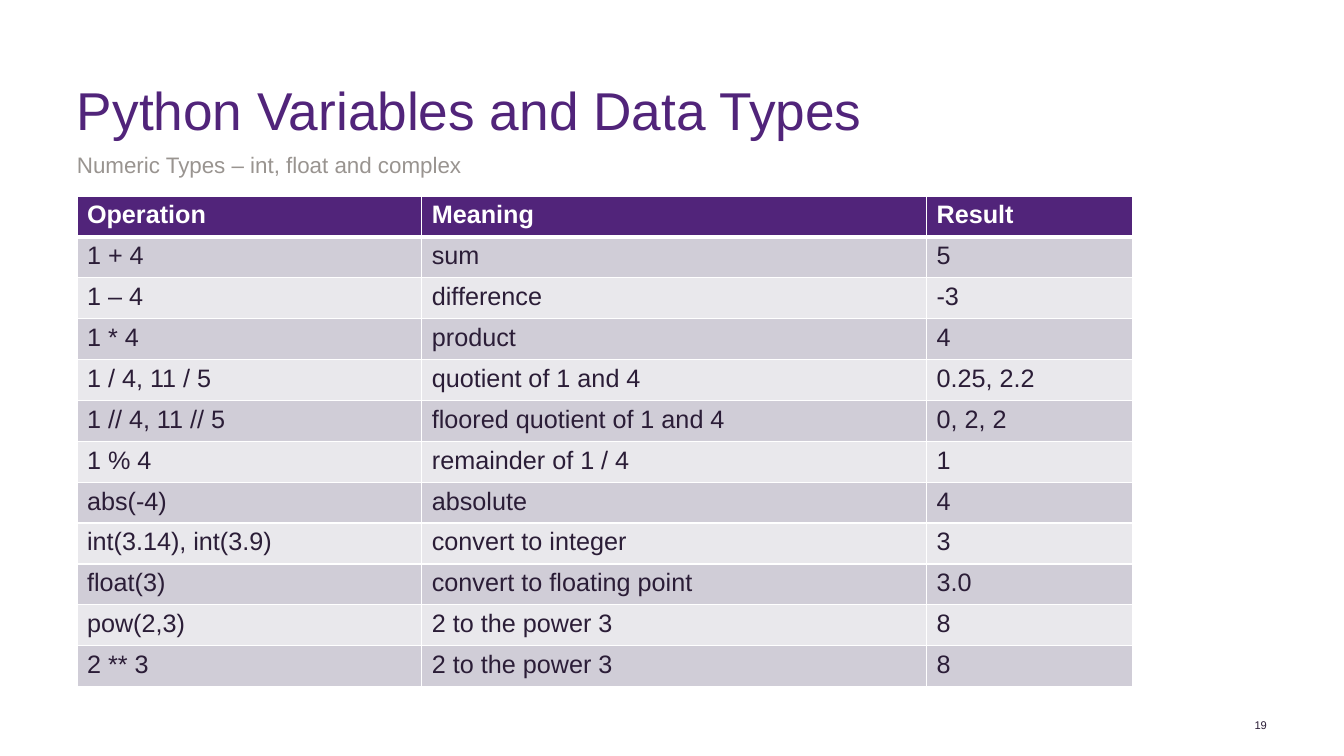
from lxml import etree
from pptx import Presentation, util as u
from pptx.dml.color import RGBColor
from pptx.enum import text
from pptx.oxml.ns import qn

HUES = {"plum": "51247A", "ink": "2B1D37", "gray": "999490",
        "white": "FFFFFF", "dark": "D0CDD7", "light": "E9E8EC"}
ROWS = [
    ("Operation", "Meaning", "Result"),
    ("1 + 4", "sum", "5"),
    ("1 – 4", "difference", "-3"),
    ("1 * 4", "product", "4"),
    ("1 / 4, 11 / 5", "quotient of 1 and 4", "0.25, 2.2"),
    ("1 // 4, 11 // 5", "floored quotient of 1 and 4", "0, 2, 2"),
    ("1 % 4", "remainder of 1 / 4", "1"),
    ("abs(-4)", "absolute", "4"),
    ("int(3.14), int(3.9)", "convert to integer", "3"),
    ("float(3)", "convert to floating point", "3.0"),
    ("pow(2,3)", "2 to the power 3", "8"),
    ("2 ** 3", "2 to the power 3", "8"),
]


class Deck:
    font = "Arial"

    def __init__(self):
        self.prs = Presentation()
        self.prs.slide_width = u.Cm(33.87)
        self.prs.slide_height = u.Cm(19.05)
        self.slide = self.prs.slides.add_slide(self.prs.slide_layouts[6])

    def style(self, par, size, hue, bold=False):
        for run in par.runs:
            run.font.name = self.font
            run.font.size = u.Pt(size)
            run.font.bold = bold
            run.font.color.rgb = RGBColor.from_string(HUES[hue])

    def label(self, words, box, size, hue):
        frame = self.slide.shapes.add_textbox(*map(u.Cm, box)).text_frame
        frame.word_wrap = True
        frame.margin_left = frame.margin_right = 0
        frame.margin_top = frame.margin_bottom = 0
        frame.text = words
        par = frame.paragraphs[0]
        self.style(par, size, hue)
        return frame, par

    def edge(self, cell, side, width):
        line = etree.SubElement(cell._tc.get_or_add_tcPr(), qn("a:" + side),
                                w=str(u.Pt(width)))
        fill = etree.SubElement(line, qn("a:solidFill"))
        etree.SubElement(fill, qn("a:srgbClr"), val=HUES["white"])

    def cell(self, cell, words, row):
        head = row == 0
        cell.text = words
        self.style(cell.text_frame.paragraphs[0], 18,
                   "white" if head else "ink", head)
        self.edge(cell, "lnL", 1)
        self.edge(cell, "lnR", 1)
        self.edge(cell, "lnT", 3 if row == 1 else 1)
        self.edge(cell, "lnB", 3 if head else 1)
        cell.fill.solid()
        hue = "plum" if head else "dark" if row % 2 else "light"
        cell.fill.fore_color.rgb = RGBColor.from_string(HUES[hue])

    def table(self, rows, left, top, widths, high):
        grid = self.slide.shapes.add_table(
            len(rows), len(widths), u.Cm(left), u.Cm(top),
            u.Cm(sum(widths)), u.Cm(high * len(rows))).table
        for col, wide in zip(grid.columns, widths):
            col.width = u.Cm(wide)
        for r, row in enumerate(rows):
            grid.rows[r].height = u.Cm(high)
            for c, words in enumerate(row):
                self.cell(grid.cell(r, c), words, r)


def main():
    deck = Deck()
    deck.table(ROWS, 1.94, 4.94, (8.69, 12.72, 5.2), 1.03)
    _, title = deck.label("Python Variables and Data Types",
                          (1.94, 2.13, 26.6, 1.3), 38, "plum")
    title.line_spacing = 0.9
    frame, page = deck.label("19", (31.14, 18.13, 0.79, 0.3), 8, "ink")
    frame.vertical_anchor = text.MSO_ANCHOR.MIDDLE
    page.alignment = text.PP_ALIGN.RIGHT
    deck.label("Numeric Types – int, float and complex",
               (1.94, 3.8, 26.6, 1.4), 16, "gray")
    deck.prs.save("out.pptx")


if __name__ == "__main__":
    main()
